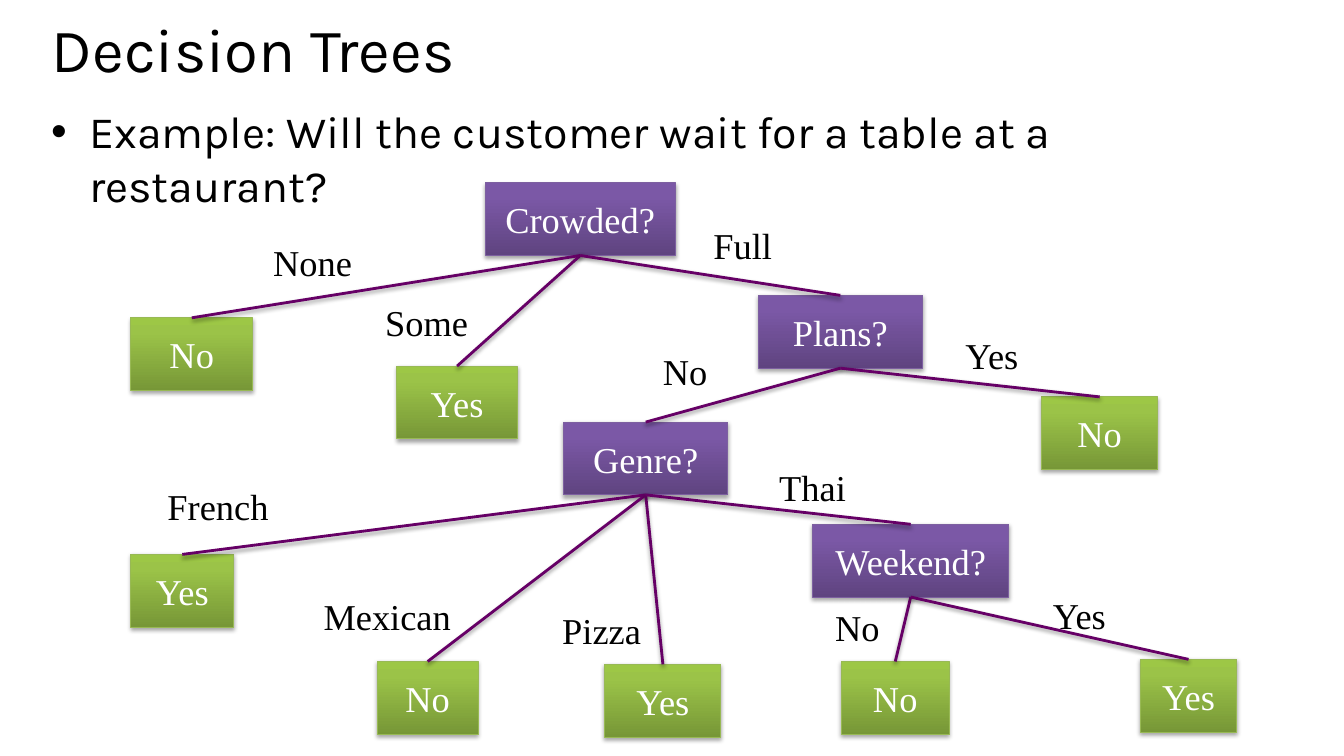
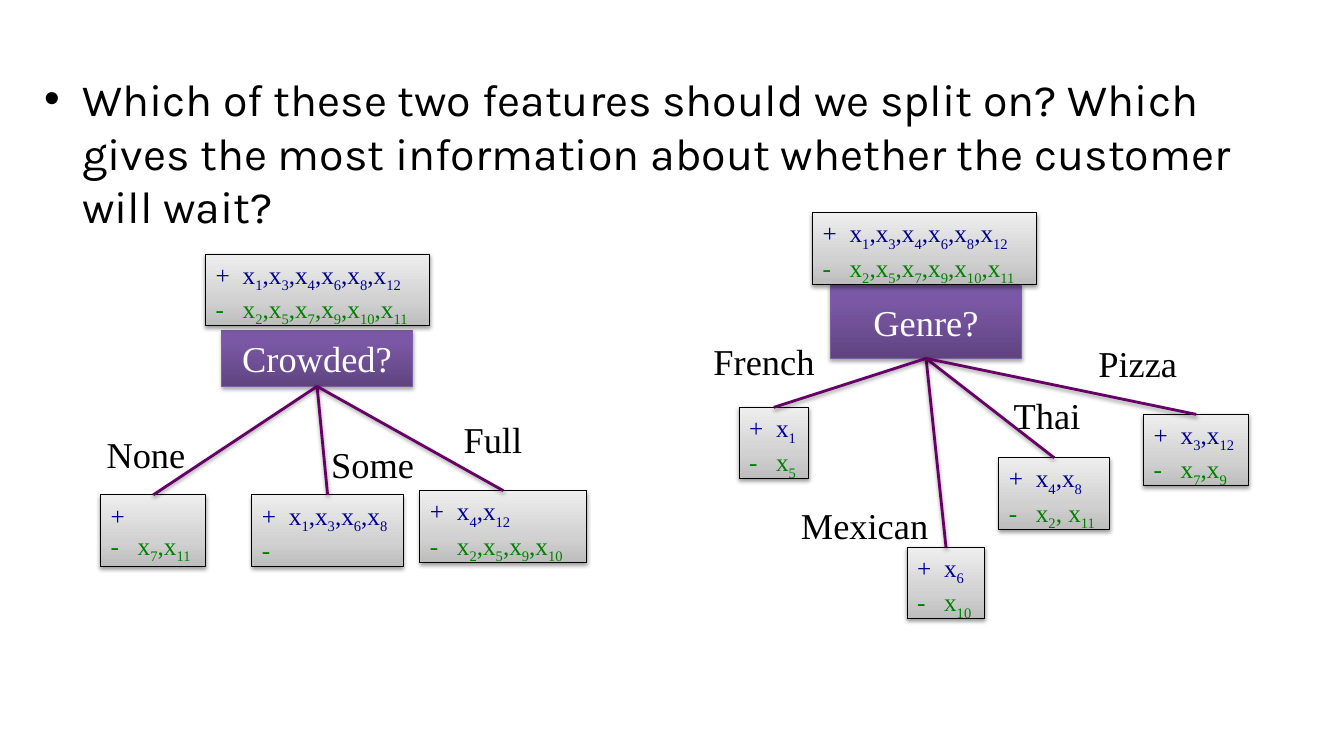
from itertools import groupby

from pptx import Presentation
from pptx.dml.color import RGBColor
from pptx.enum.shapes import MSO_CONNECTOR, MSO_SHAPE
from pptx.enum.text import MSO_ANCHOR, PP_ALIGN
from pptx.oxml import parse_xml
from pptx.oxml.ns import nsdecls
from pptx.util import Pt

# Shared colours and fonts
BLACK = RGBColor(0, 0, 0)
WHITE = RGBColor(255, 255, 255)
PLUM = RGBColor(0x66, 0, 0x66)
BLUE = RGBColor(0, 0, 0x90)
GREEN = RGBColor(0, 0x80, 0)
HEAD, TEXT = "Karla", "Times New Roman"

# Box styles: gradient stops (bottom to top), outline, shadow strength
TEST = (((0, "5F4480"), (80, "7B58A6"), (100, "7C57A8")),
        RGBColor(0x7D, 0x60, 0xA0), 35)
LEAF = (((0, "779737"), (80, "9BC348"), (100, "9DC746")),
        RGBColor(0x98, 0xB9, 0x55), 35)
DATA = (((0, "BDBDBD"), (35, "D1D1D1"), (100, "EEEEEE")), BLACK, 38)

# Label widths
WIDTHS = {"None": 73, "Some": 74, "Full": 57, "Yes": 52.5, "No": 47.5,
          "French": 87, "Pizza": 72, "Thai": 62.5, "Mexican": 106.5}

# Tree: key, text, left, top, width, parent, branch label with left and top
TREE = (
    ("crowd", "Crowded?", 346.5, 130.5, 136, None, None),
    ("none", "No", 93.5, 227, 87, "crowd", ("None", 188, 168)),
    ("some", "Yes", 283.5, 261.5, 86, "crowd", ("Some", 268, 211)),
    ("plans", "Plans?", 541.5, 211, 117.5, "crowd", ("Full", 502.5, 156)),
    ("genre", "Genre?", 402.5, 301.5, 117.5, "plans", ("No", 466.5, 245.5)),
    ("busy", "No", 744, 283.5, 83, "plans", ("Yes", 682.5, 234.5)),
    ("french", "Yes", 93.5, 396, 73.5, "genre", ("French", 112.5, 342.5)),
    ("mex", "No", 269.5, 472.5, 72, "genre", ("Mexican", 224, 421)),
    ("pizza", "Yes", 432, 474.5, 83, "genre", ("Pizza", 394.5, 430.5)),
    ("week", "Weekend?", 580.5, 374.5, 140, "genre", ("Thai", 549.5, 328.5)),
    ("day", "No", 601, 472.5, 77, "week", ("No", 589.5, 429)),
    ("free", "Yes", 814.5, 471, 69, "week", ("Yes", 745, 420)),
)

# Splits: test box, full sample, then a sample and a label for each branch
ALL = ("x1,x3,x4,x6,x8,x12", "x2,x5,x7,x9,x10,x11")
SPLITS = (
    (("Crowded?", 158.5, 236, 136, 40), (147, 181.5, 160, *ALL), (
        ((72, 353.5, 75, "", "x7,x11"), ("None", 69, 305.5)),
        ((180, 353.5, 108, "x1,x3,x6,x8", ""), ("Some", 229.5, 312)),
        ((300, 350.5, 119, "x4,x12", "x2,x5,x9,x10"), ("Full", 324, 294.5)),
    )),
    (("Genre?", 593.5, 204, 136, 52), (580.5, 152, 160, *ALL), (
        ((528, 291, 49.5, "x1", "x5"), ("French", 502.5, 238.5)),
        ((648, 391, 55.5, "x6", "x10"), ("Mexican", 565, 355.5)),
        ((713.5, 327, 79, "x4,x8", "x2, x11"), ("Thai", 717, 277)),
        ((817, 296, 75, "x3,x12", "x7,x9"), ("Pizza", 777.5, 240)),
    )),
)


def put(para, text, size, color, font=TEXT):
    run = para.add_run()
    run.text = text
    run.font.size = Pt(size)
    run.font.name = font
    run.font.color.rgb = color
    return run


def shade(shape, alpha, dist):
    """Add a soft shadow below a shape or line."""
    shape._element.spPr.append(parse_xml(
        f'<a:effectLst {nsdecls("a")}><a:outerShdw blurRad="{Pt(3.1)}" '
        f'dist="{Pt(dist)}" dir="5400000" rotWithShape="0">'
        f'<a:srgbClr val="000000"><a:alpha val="{alpha * 1000}"/></a:srgbClr>'
        '</a:outerShdw></a:effectLst>'))


def area(slide, x, y, w, h, wrap=True):
    frame = slide.shapes.add_textbox(Pt(x), Pt(y), Pt(w), Pt(h)).text_frame
    frame.word_wrap = wrap
    return frame.paragraphs[0]


def title(slide, text):
    para = area(slide, 30, 14.5, 907, 83.5)
    para.line_spacing = 0.8
    put(para, text, 44, BLACK, HEAD)


def bullet(slide, text, x, y):
    para = area(slide, x, y, 907, 417)
    props = para._p.get_or_add_pPr()
    props.set("marL", str(Pt(27)))
    props.set("indent", str(Pt(-27)))
    for tag in ('buFont {} typeface="Arial"', 'buChar {} char="•"'):
        props.append(parse_xml(f'<a:{tag.format(nsdecls("a"))}/>'))
    put(para, text, 32, BLACK, HEAD)


def box(slide, kind, style, x, y, w, h):
    stops, edge, alpha = style
    shape = slide.shapes.add_shape(kind, Pt(x), Pt(y), Pt(w), Pt(h))
    shape.line.color.rgb = edge
    shape.line.width = Pt(0.75)
    marks = "".join(f'<a:gs pos="{pos * 1000}"><a:srgbClr val="{tint}"/></a:gs>'
                    for pos, tint in stops)
    shape._element.spPr.insert(2, parse_xml(
        f'<a:gradFill {nsdecls("a")} rotWithShape="1"><a:gsLst>{marks}</a:gsLst>'
        '<a:lin ang="16200000" scaled="0"/></a:gradFill>'))
    shade(shape, alpha, 1.7)
    shape.text_frame.word_wrap = True
    return shape


def node(slide, text, x, y, w, h=52):
    style = TEST if text.endswith("?") else LEAF
    shape = box(slide, MSO_SHAPE.FLOWCHART_PROCESS, style, x, y, w, h)
    shape.text_frame.vertical_anchor = MSO_ANCHOR.MIDDLE
    para = shape.text_frame.paragraphs[0]
    para.alignment = PP_ALIGN.CENTER
    put(para, text, 26, WHITE)
    return shape


def sample(slide, x, y, w, plus, minus):
    """Box of positive and negative examples, with digits as subscripts."""
    shape = box(slide, MSO_SHAPE.RECTANGLE, DATA, x, y, w, 51)
    frame = shape.text_frame
    frame.vertical_anchor = MSO_ANCHOR.TOP
    frame.margin_right = 0
    rows = (frame.paragraphs[0], "+", plus, BLUE), (frame.add_paragraph(), "-", minus, GREEN)
    for para, sign, names, color in rows:
        para.alignment = PP_ALIGN.LEFT
        para._p.get_or_add_pPr().append(parse_xml(
            f'<a:tabLst {nsdecls("a")}><a:tab pos="{Pt(19.3)}" algn="l"/></a:tabLst>'))
        line = f"{sign}\t{names}" if names else sign
        for low, part in groupby(line, str.isdigit):
            run = put(para, "".join(part), 18, color)
            if low:
                run._r.get_or_add_rPr().set("baseline", "-25000")
    return shape


def link(slide, top, end):
    """Join the bottom of one box to the top of another."""
    line = slide.shapes.add_connector(MSO_CONNECTOR.STRAIGHT, 0, 0, 0, 0)
    line.begin_connect(top, 2)
    line.end_connect(end, 0)
    line.line.color.rgb = PLUM
    line.line.width = Pt(2)
    shade(line, 38, 1.6)


def label(slide, text, x, y):
    put(area(slide, x, y, WIDTHS[text], 39, False), text, 26, BLACK)


def tree(slide):
    nodes = {key: node(slide, *spot) for key, *spot, _, _ in TREE}
    for key, *_, top, tag in TREE:
        if top:
            link(slide, nodes[top], nodes[key])
            label(slide, *tag)


def split(slide, test, full, parts):
    top = node(slide, *test)
    sample(slide, *full)
    for data, tag in parts:
        link(slide, top, sample(slide, *data))
        label(slide, *tag)


def main():
    deck = Presentation()
    deck.slide_width, deck.slide_height = Pt(960), Pt(540)
    blank = deck.slide_layouts[6]

    # Example tree
    slide = deck.slides.add_slide(blank)
    title(slide, "Decision Trees")
    bullet(slide, "Example: Will the customer wait for a table at a restaurant?", 29.5, 70.5)
    tree(slide)

    # Two candidate splits
    slide = deck.slides.add_slide(blank)
    bullet(slide, "Which of these two features should we split on? Which gives the "
           "most information about whether the customer will wait?", 24.5, 47.5)
    for item in SPLITS:
        split(slide, *item)

    deck.save("out.pptx")


if __name__ == "__main__":
    main()
